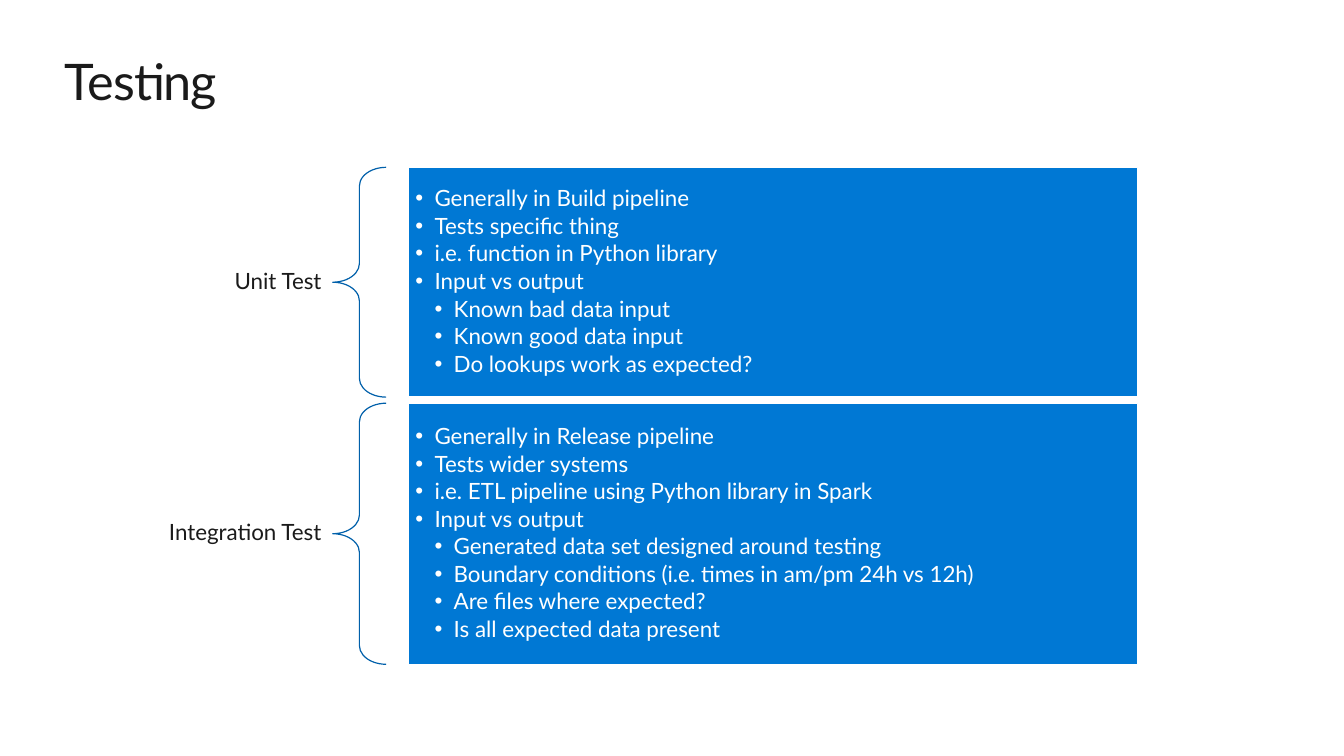
from dataclasses import dataclass

from lxml.etree import SubElement
from pptx import Presentation
from pptx.dml.color import RGBColor
from pptx.enum.shapes import MSO_SHAPE
from pptx.enum.text import MSO_ANCHOR, MSO_AUTO_SIZE, PP_ALIGN
from pptx.oxml.ns import qn
from pptx.util import Inches, Pt


@dataclass(frozen=True)
class Theme:
    font: str = "Lato"
    ink: RGBColor = RGBColor(0x1A, 0x1A, 0x1A)
    white: RGBColor = RGBColor(0xFF, 0xFF, 0xFF)
    panel: RGBColor = RGBColor(0x00, 0x78, 0xD4)
    brace: RGBColor = RGBColor(0x00, 0x60, 0xAA)
    title_size: Pt = Pt(36)
    text_size: Pt = Pt(16)
    outline: Pt = Pt(0.85)


theme = Theme()


def style_paragraph(paragraph, size, color, align=PP_ALIGN.LEFT):
    paragraph.alignment = align
    paragraph.font.name = theme.font
    paragraph.font.size = size
    paragraph.font.color.rgb = color


def set_frame(frame, anchor, side, end):
    frame.word_wrap = True
    frame.auto_size = MSO_AUTO_SIZE.NONE
    frame.vertical_anchor = anchor
    frame.margin_left = frame.margin_right = Inches(side)
    frame.margin_top = frame.margin_bottom = Inches(end)


tests = [
    ("Unit Test", 1.66, 2.28, [
        (0, "Generally in Build pipeline"),
        (0, "Tests specific thing"),
        (0, "i.e. function in Python library"),
        (0, "Input vs output"),
        (1, "Known bad data input"),
        (1, "Known good data input"),
        (1, "Do lookups work as expected?"),
    ]),
    ("Integration Test", 4, 2.59, [
        (0, "Generally in Release pipeline"),
        (0, "Tests wider systems"),
        (0, "i.e. ETL pipeline using Python library in Spark"),
        (0, "Input vs output"),
        (1, "Generated data set designed around testing"),
        (1, "Boundary conditions (i.e. times in am/pm 24h vs 12h)"),
        (1, "Are files where expected?"),
        (1, "Is all expected data present"),
    ]),
]
label_height = 0.36
bullet_indent = 0.19

deck = Presentation()
deck.slide_width, deck.slide_height = Inches(13.33), Inches(7.5)
slide = deck.slides.add_slide(deck.slide_layouts[3])

title, *panels = slide.placeholders
title.left, title.top = Inches(0.64), Inches(0.5)
title.width, title.height = Inches(12.05), Inches(0.61)
title.text = "Testing"
set_frame(title.text_frame, MSO_ANCHOR.TOP, 0, 0)
heading = title.text_frame.paragraphs[0]
style_paragraph(heading, theme.title_size, theme.ink)
heading.font._element.set("spc", "-50")

for panel, (name, top, height, points) in zip(panels, tests):
    label = slide.shapes.add_textbox(
        Inches(0.65), Inches(top + (height - label_height) / 2),
        Inches(2.66), Inches(label_height))
    label.text_frame.text = name
    set_frame(label.text_frame, MSO_ANCHOR.MIDDLE, 0.12, 0.04)
    caption = label.text_frame.paragraphs[0]
    style_paragraph(caption, theme.text_size, theme.ink, PP_ALIGN.RIGHT)
    caption.line_spacing = 0.9

    brace = slide.shapes.add_shape(
        MSO_SHAPE.LEFT_BRACE, Inches(3.3), Inches(top), Inches(0.53), Inches(height))
    brace.adjustments[0] = 0.35
    brace.adjustments[1] = 0.5
    brace.shadow.inherit = False
    brace.fill.background()
    brace.line.color.rgb = theme.brace
    brace.line.width = theme.outline

    panel.left, panel.top = Inches(4.05), Inches(top)
    panel.width, panel.height = Inches(7.23), Inches(height)
    panel.fill.solid()
    panel.fill.fore_color.rgb = theme.panel
    panel.line.color.rgb = theme.white
    panel.line.width = theme.outline
    panel.text_frame.text = "\n".join(text for _, text in points)
    set_frame(panel.text_frame, MSO_ANCHOR.MIDDLE, 0.07, 0.07)
    for point, (level, _) in zip(panel.text_frame.paragraphs, points):
        point.level = level
        point.line_spacing = 0.9
        point.space_before = Pt(0)
        point.space_after = Pt(2.4)
        properties = point._p.get_or_add_pPr()
        properties.set("marL", str(Inches(bullet_indent * (level + 1))))
        properties.set("indent", str(-Inches(bullet_indent)))
        SubElement(properties, qn("a:buChar")).set("char", "•")
        style_paragraph(point, theme.text_size, theme.white)

deck.save("out.pptx")
